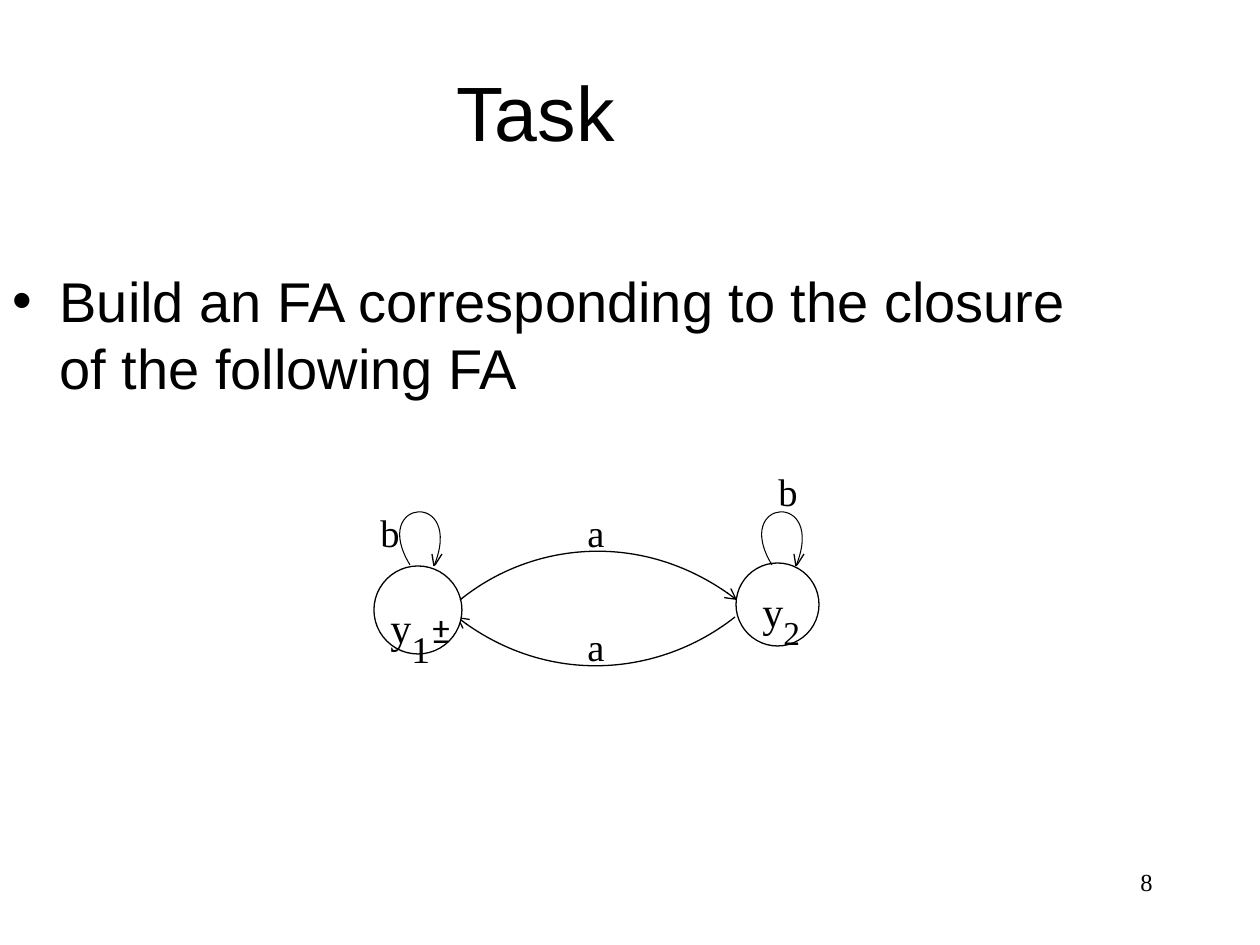
"""Build the slide that asks for the closure of a two-state finite automaton."""
from dataclasses import dataclass

from pptx import Presentation
from pptx.dml.color import RGBColor
from pptx.enum.shapes import MSO_SHAPE
from pptx.enum.text import MSO_ANCHOR, MSO_AUTO_SIZE, PP_ALIGN
from pptx.oxml.ns import qn
from pptx.util import Emu, Pt
from lxml import etree

BLACK = RGBColor(0, 0, 0)
WHITE = RGBColor(255, 255, 255)
OVAL = MSO_SHAPE.OVAL
LEFT = PP_ALIGN.LEFT
CENTER = PP_ALIGN.CENTER
RIGHT = PP_ALIGN.RIGHT
TOP = MSO_ANCHOR.TOP
MIDDLE = MSO_ANCHOR.MIDDLE
NO_AUTOFIT = MSO_AUTO_SIZE.NONE

SCALE = 914400 / 126
SANS = "Arial"
SERIF = "Times New Roman"
LOOP_SHIFT = 362

Point = tuple[int, int]
Box = tuple[int, int, int, int]


@dataclass(frozen=True)
class TextRun:
    text: str
    size: int
    font: str = SERIF
    baseline: int = 0


@dataclass(frozen=True)
class Label:
    box: Box
    runs: tuple[TextRun, ...]
    alignment: PP_ALIGN = LEFT


@dataclass(frozen=True)
class Stroke:
    points: tuple[Point, ...]
    curved: bool = False
    arrow: bool = False
    width: float = 0.75


STATE_ONE: Box = (374, 566, 88, 88)
STATE_TWO: Box = (736, 563, 83, 83)
ARC_TO_ONE = Stroke(((735, 617), (663, 674), (548, 688), (457, 617)), True, True)
ARC_TO_TWO = Stroke(((460, 600), (530, 543), (645, 529), (737, 600)), True, True)
LOOP = (
    Stroke(((410, 565), (369, 498), (465, 490), (434, 566)), True, width=0.6),
    Stroke(((435, 565), (442, 554))),
    Stroke(((432, 554), (434, 566))),
)
LABELS = (
    Label((378, 573, 101, 58),
          (TextRun("y", 24), TextRun("1", 37, baseline=-30), TextRun("±", 24, "Karla"))),
    Label((750, 564, 101, 57), (TextRun("y", 24), TextRun("2", 33, baseline=-30))),
    Label((575, 503, 127, 52), (TextRun("a", 22),)),
    Label((575, 617, 127, 52), (TextRun("a", 22),)),
    Label((766, 462, 127, 52), (TextRun("b", 22),)),
    Label((368, 503, 127, 52), (TextRun("b", 22),)),
    Label((903, 861, 262, 63), (TextRun("8", 14),), RIGHT),
)


def emu(pixels: int) -> Emu:
    """Turn pixels into EMU."""
    return Emu(round(pixels * SCALE))


def place(shape, box: Box) -> None:
    """Move and size a shape."""
    shape.left, shape.top, shape.width, shape.height = map(emu, box)


def write(shape, runs: tuple[TextRun, ...], alignment: PP_ALIGN, anchor: MSO_ANCHOR):
    """Fill the first paragraph of a shape run by run and return it."""
    frame = shape.text_frame
    frame.word_wrap = True
    frame.auto_size = NO_AUTOFIT
    frame.vertical_anchor = anchor
    paragraph = frame.paragraphs[0]
    paragraph.alignment = alignment
    for item in runs:
        run = paragraph.add_run()
        run.text = item.text
        run.font.size = Pt(item.size)
        run.font.name = item.font
        run.font.color.rgb = BLACK
        if item.baseline:
            run.font._element.set("baseline", str(item.baseline * 1000))
    return paragraph


def draw_label(slide, label: Label) -> None:
    """Add a text box."""
    shape = slide.shapes.add_textbox(*map(emu, label.box))
    write(shape, label.runs, label.alignment, TOP)


def draw_state(slide, box: Box) -> None:
    """Add the circle of a state."""
    shape = slide.shapes.add_shape(OVAL, *map(emu, box))
    shape.shadow.inherit = False
    shape.fill.solid()
    shape.fill.fore_color.rgb = WHITE
    shape.line.color.rgb = BLACK
    shape.line.width = Pt(0.75)


def draw_stroke(slide, stroke: Stroke, shift: int = 0) -> None:
    """Add an open outline, either straight or one cubic curve."""
    start, *others = [(x + shift, y) for x, y in stroke.points]
    builder = slide.shapes.build_freeform(*start, scale=SCALE)
    builder.add_line_segments(others, close=False)
    shape = builder.convert_to_shape()
    shape.shadow.inherit = False
    shape.fill.background()
    shape.line.color.rgb = BLACK
    shape.line.width = Pt(stroke.width)
    if stroke.curved:
        segments = list(shape._element.iter(qn("a:lnTo")))
        curve = etree.SubElement(segments[0].getparent(), qn("a:cubicBezTo"))
        for segment in segments:
            curve.append(segment[0])
            segment.getparent().remove(segment)
    if stroke.arrow:
        line = shape._element.spPr.find(qn("a:ln"))
        etree.SubElement(line, qn("a:tailEnd"), type="arrow")


def draw_task(slide) -> None:
    """Fill the title and the bulleted body."""
    title, body = slide.placeholders
    place(title, (0, 32, 1071, 158))
    write(title, (TextRun("Task", 44, SANS),), CENTER, MIDDLE)
    place(body, (0, 260, 1126, 575))
    task = TextRun("Build an FA corresponding to the closure of the following FA", 32, SANS)
    paragraph = write(body, (task,), LEFT, TOP)
    paragraph.space_before = Pt(8)
    properties = paragraph._element.get_or_add_pPr()
    properties.set("marL", str(emu(47)))
    properties.set("indent", str(-emu(47)))
    etree.SubElement(properties, qn("a:buFont"), typeface=SANS)
    etree.SubElement(properties, qn("a:buChar"), char="•")


def main() -> None:
    """Build and save the presentation."""
    presentation = Presentation()
    presentation.slide_width = emu(1260)
    presentation.slide_height = emu(945)
    slide = presentation.slides.add_slide(presentation.slide_layouts[1])
    draw_task(slide)
    draw_state(slide, STATE_TWO)
    draw_stroke(slide, ARC_TO_ONE)
    draw_state(slide, STATE_ONE)
    draw_stroke(slide, ARC_TO_TWO)
    for shift in (0, LOOP_SHIFT):
        for stroke in LOOP:
            draw_stroke(slide, stroke, shift)
    for label in LABELS:
        draw_label(slide, label)
    presentation.save("out.pptx")


if __name__ == "__main__":
    main()
